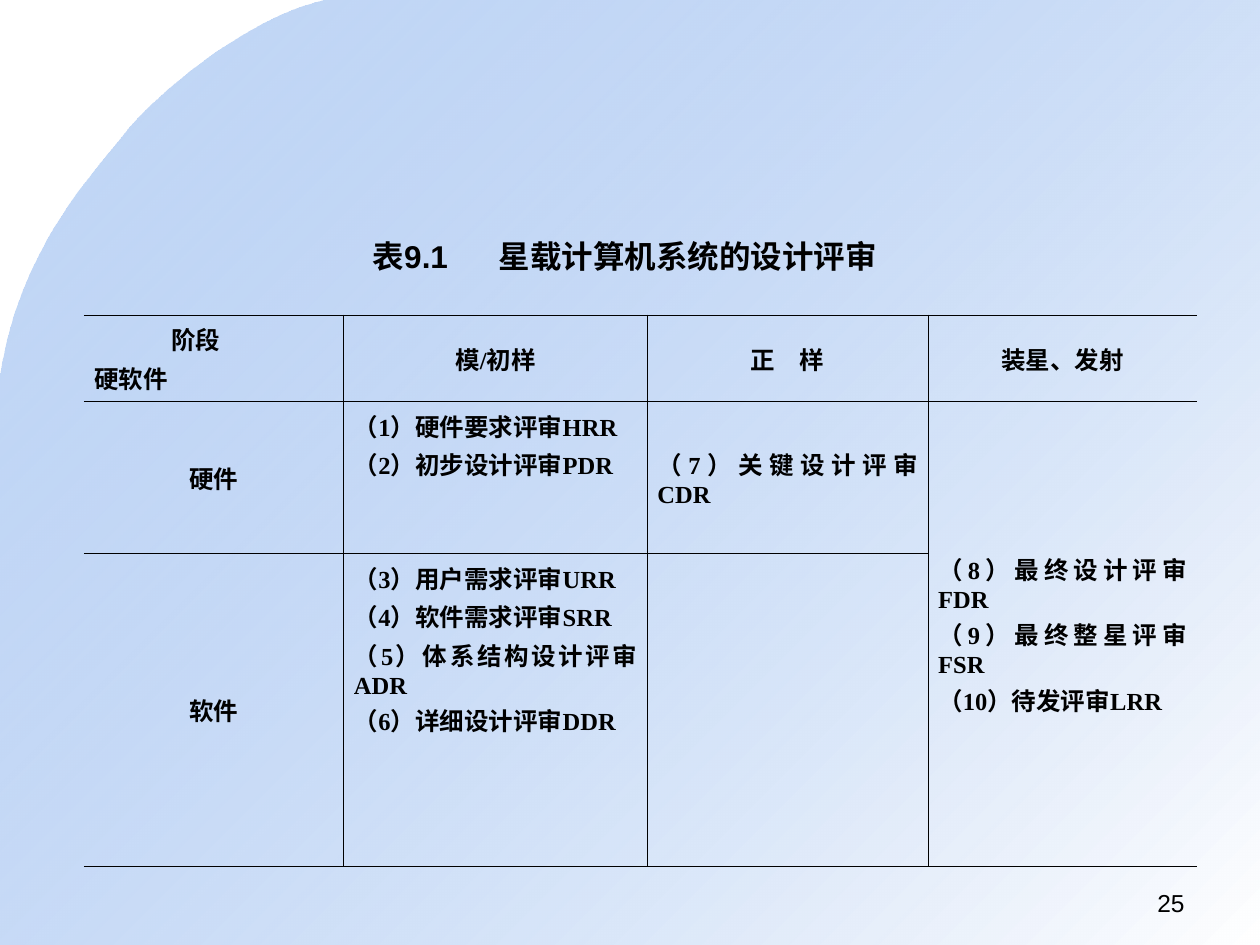
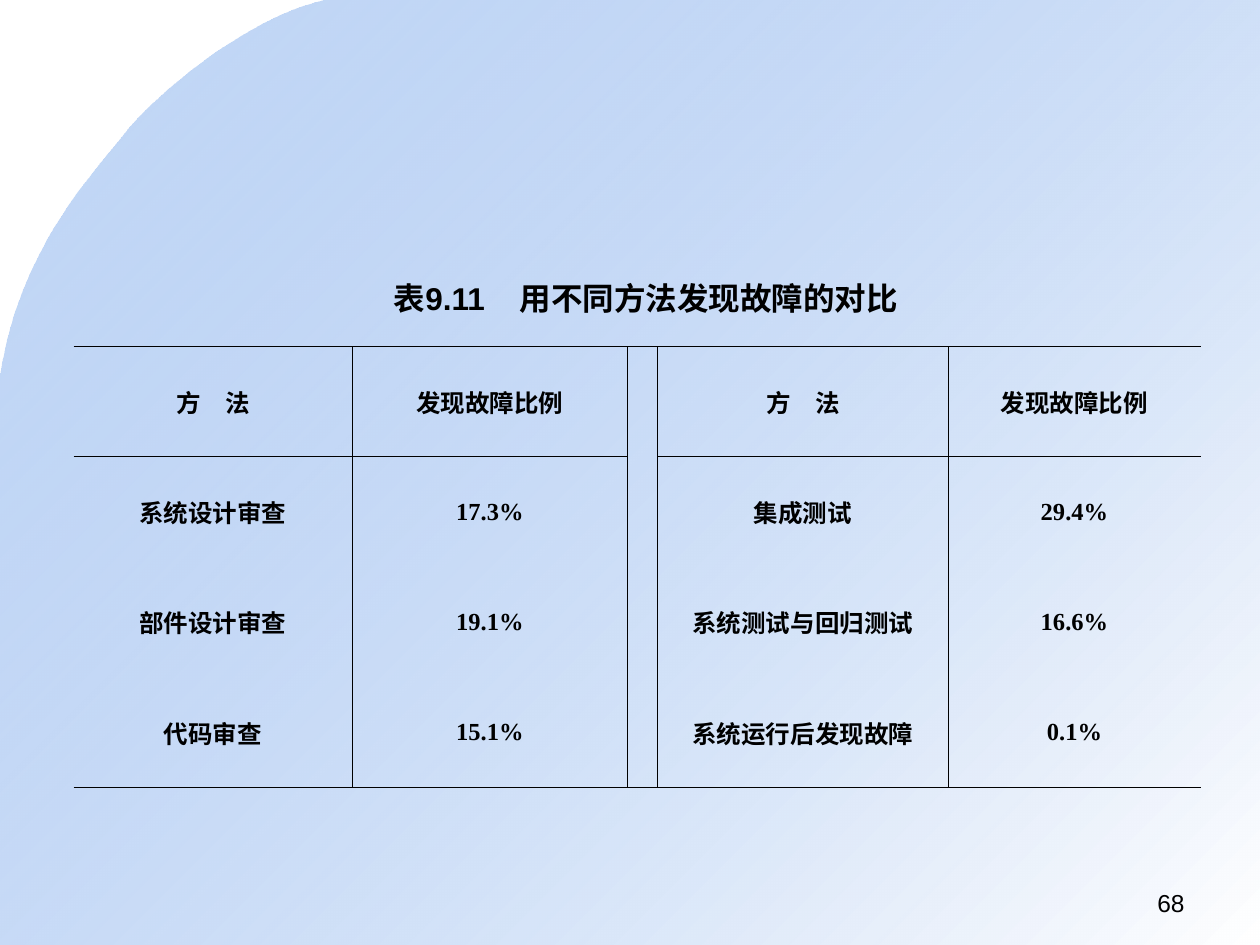
from collections import namedtuple

from lxml.etree import SubElement
from pptx import Presentation
from pptx.dml.color import RGBColor
from pptx.enum.text import MSO_ANCHOR as Anchor, MSO_AUTO_SIZE as AutoSize, PP_ALIGN as Align
from pptx.oxml.ns import qn
from pptx.util import Inches, Pt

UNIT = Inches(1) / 12  # the slide is a grid of 120 columns by 90 rows
COLUMNS, ROWS = 120, 90
INK, SKY, WHITE = "000000", "699DE9", "FFFFFF"
SANS, SERIF = "Arial", "Times New Roman"
CURVE_STEPS = 24

Box = namedtuple("Box", "left top width height")
Cell = namedtuple("Cell", "lines align anchor indent", defaults=(Align.CENTER, Anchor.MIDDLE, 0))
EMPTY = Cell([])
NUMBER_BOX = Box(86, 84, 28, 4.2)


def units(count):
    return round(count * UNIT)


def color(code):
    return RGBColor.from_string(code)


def write(frame, lines, font=SANS, size=14, bold=False, align=Align.LEFT, gap=0, indent=0, tab=0):
    """Fill a text frame; indent moves the first line only."""
    for index, line in enumerate(lines):
        para = frame.paragraphs[0] if index == 0 else frame.add_paragraph()
        para.alignment = align
        para.space_before = Pt(gap if index else 0)
        para.space_after = Pt(gap)
        properties = para._p.get_or_add_pPr()
        if indent and index == 0:
            properties.set("marL", str(units(indent)))
        if tab:
            stops = SubElement(properties, qn("a:tabLst"))
            SubElement(stops, qn("a:tab"), pos=str(units(tab)), algn="l")
        span = para.add_run()
        span.text = line
        span.font.name, span.font.size, span.font.bold = font, Pt(size), bold
        span.font.color.rgb = color(INK)


def bezier(start, first, second, end):
    for step in range(1, CURVE_STEPS + 1):
        t = step / CURVE_STEPS
        weights = ((1 - t) ** 3, 3 * t * (1 - t) ** 2, 3 * t * t * (1 - t), t ** 3)
        points = (start, first, second, end)
        yield tuple(sum(w * p[axis] for w, p in zip(weights, points)) for axis in (0, 1))


def add_backdrop(page):
    """Draw the curved gradient field and move it to the shared layout."""
    start, middle, end = (31, 0), (11.8, 12.9), (0, 36.1)
    outline = [*bezier(start, (22.8, 1.9), (13.9, 10), middle),
               *bezier(middle, (9.6, 15.8), (1.9, 23.3), end),
               (0, ROWS), (COLUMNS, ROWS), (COLUMNS, 0)]
    builder = page.shapes.build_freeform(units(start[0]), units(start[1]))
    builder.add_line_segments([(units(x), units(y)) for x, y in outline], close=True)
    field = builder.convert_to_shape()
    field.shadow.inherit = False
    field.line.fill.background()
    field.fill.gradient()
    field.fill.gradient_angle = 315
    for stop, code in zip(field.fill.gradient_stops, (SKY, WHITE)):
        stop.color.rgb = color(code)
    sky = field.element.spPr.find(f".//{qn('a:srgbClr')}")
    SubElement(sky, qn("a:alpha"), val="39000")
    field.element.nvSpPr.cNvPr.set("id", "99")
    page.slide_layout.shapes.element.insert(2, field.element)


def add_title(page, text, box):
    title = page.shapes.title
    title.left, title.top, title.width, title.height = map(units, box)
    frame = title.text_frame
    frame.word_wrap, frame.auto_size = True, AutoSize.NONE
    frame.vertical_anchor = Anchor.TOP
    write(frame, [text], size=18, bold=True, tab=12)


def add_page_number(page, number):
    frame = page.shapes.add_textbox(*map(units, NUMBER_BOX)).text_frame
    frame.word_wrap = True
    write(frame, [str(number)], align=Align.RIGHT)


def set_borders(cell, edges):
    properties = cell._tc.get_or_add_tcPr()
    for side, shown in edges.items():
        line = SubElement(properties, qn(f"a:ln{side}"), w=str(Pt(0.45)))
        if shown:
            fill = SubElement(line, qn("a:solidFill"))
            SubElement(fill, qn("a:srgbClr"), val=INK)
        else:
            SubElement(line, qn("a:noFill"))


def add_ruled_table(page, box, widths, heights, content, merge, rules, gap):
    """Add a table open at both sides; rules lists the row edges that carry a line."""
    last_row, last_column = len(heights) - 1, len(widths) - 1
    table = page.shapes.add_table(len(heights), len(widths), *map(units, box)).table
    table.first_row = table.horz_banding = False
    for column, width in zip(table.columns, widths):
        column.width = units(width)
    for row, height in zip(table.rows, heights):
        row.height = units(height)
    (top, left), (bottom, right) = merge
    table.cell(top, left).merge(table.cell(bottom, right))

    for r, row in enumerate(content):
        for c, entry in enumerate(row):
            cell = table.cell(r, c)
            set_borders(cell, {
                "L": c > 0,
                "R": c < last_column,
                "T": r in rules and not cell.is_spanned,
                "B": cell.is_merge_origin or r == last_row
                     or (r + 1 in rules and not cell.is_spanned),
            })
            cell.fill.background()
            if entry.lines:
                cell.margin_left = cell.margin_right = Inches(0.08)
                cell.margin_top = cell.margin_bottom = Inches(0.05)
                cell.vertical_anchor = entry.anchor
                write(cell.text_frame, entry.lines, font=SERIF, bold=True,
                      align=entry.align, gap=gap, indent=entry.indent)


def add_page(deck, title, title_box, number, **table):
    page = deck.slides.add_slide(deck.slide_layouts[5])
    add_title(page, title, title_box)
    add_ruled_table(page, **table)
    add_page_number(page, number)
    return page


def reviews(*lines, anchor=Anchor.MIDDLE):
    return Cell(lines, Align.JUSTIFY, anchor)


def add_review_page(deck):
    content = [
        [Cell(["阶段", "硬软件"], Align.JUSTIFY, Anchor.TOP, 7.35),
         Cell(["模/初样"]), Cell(["正　样"]), Cell(["装星、发射"])],
        [Cell(["硬件"]),
         reviews("（1）硬件要求评审HRR", "（2）初步设计评审PDR", anchor=Anchor.TOP),
         reviews("（7）关键设计评审CDR"),
         reviews("（8）最终设计评审FDR", "（9）最终整星评审FSR", "（10）待发评审LRR")],
        [Cell(["软件"]),
         reviews("（3）用户需求评审URR", "（4）软件需求评审SRR",
                 "（5）体系结构设计评审ADR", "（6）详细设计评审DDR", anchor=Anchor.TOP),
         EMPTY, EMPTY],
    ]
    return add_page(
        deck, "表9.1\t星载计算机系统的设计评审", Box(34.3, 22, 54, 4.8), 25,
        box=Box(8, 30, 106, 52), widths=[24.75, 28.9, 26.75, 25.6],
        heights=[7.7, 14.5, 29.8], content=content,
        merge=((1, 3), (2, 3)), rules={0, 1, 2, 3}, gap=0.7)


def add_fault_page(deck):
    rows = [
        ("方　法", "发现故障比例", "方　法", "发现故障比例"),
        ("系统设计审查", "17.3%", "集成测试", "29.4%"),
        ("部件设计审查", "19.1%", "系统测试与回归测试", "16.6%"),
        ("代码审查", "15.1%", "系统运行后发现故障", "0.1%"),
    ]
    content = []
    for row in rows:
        cells = [Cell([text]) for text in row]
        content.append(cells[:2] + [EMPTY] + cells[2:])
    return add_page(
        deck, "表9.11\t用不同方法发现故障的对比", Box(36.3, 26, 54, 4.8), 68,
        box=Box(7, 33, 105, 42), widths=[26.55, 26.22, 0.5, 27.68, 24.05],
        heights=[10.5] * len(rows), content=content,
        merge=((0, 2), (3, 2)), rules={0, 1, 4}, gap=1.2)


def main():
    deck = Presentation()
    deck.slide_width, deck.slide_height = units(COLUMNS), units(ROWS)
    add_backdrop(add_review_page(deck))
    add_fault_page(deck)
    deck.save("out.pptx")


if __name__ == "__main__":
    main()
